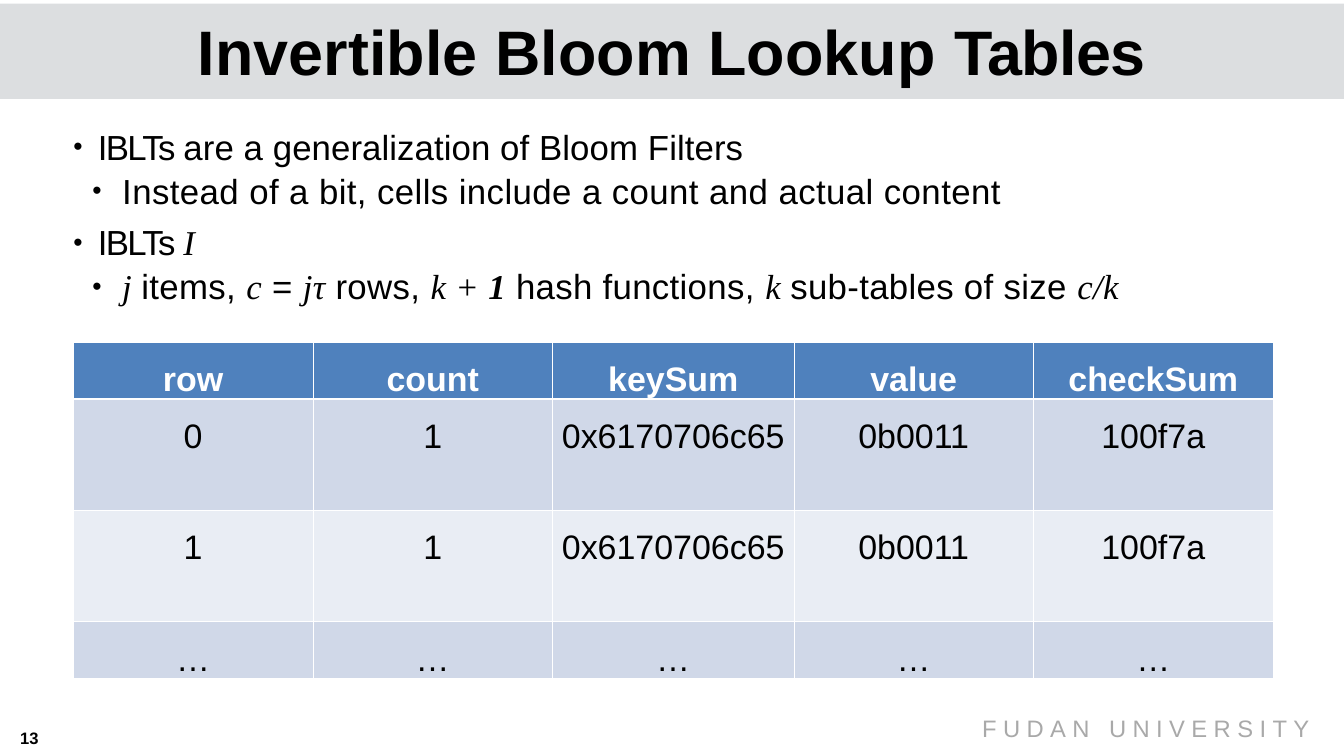
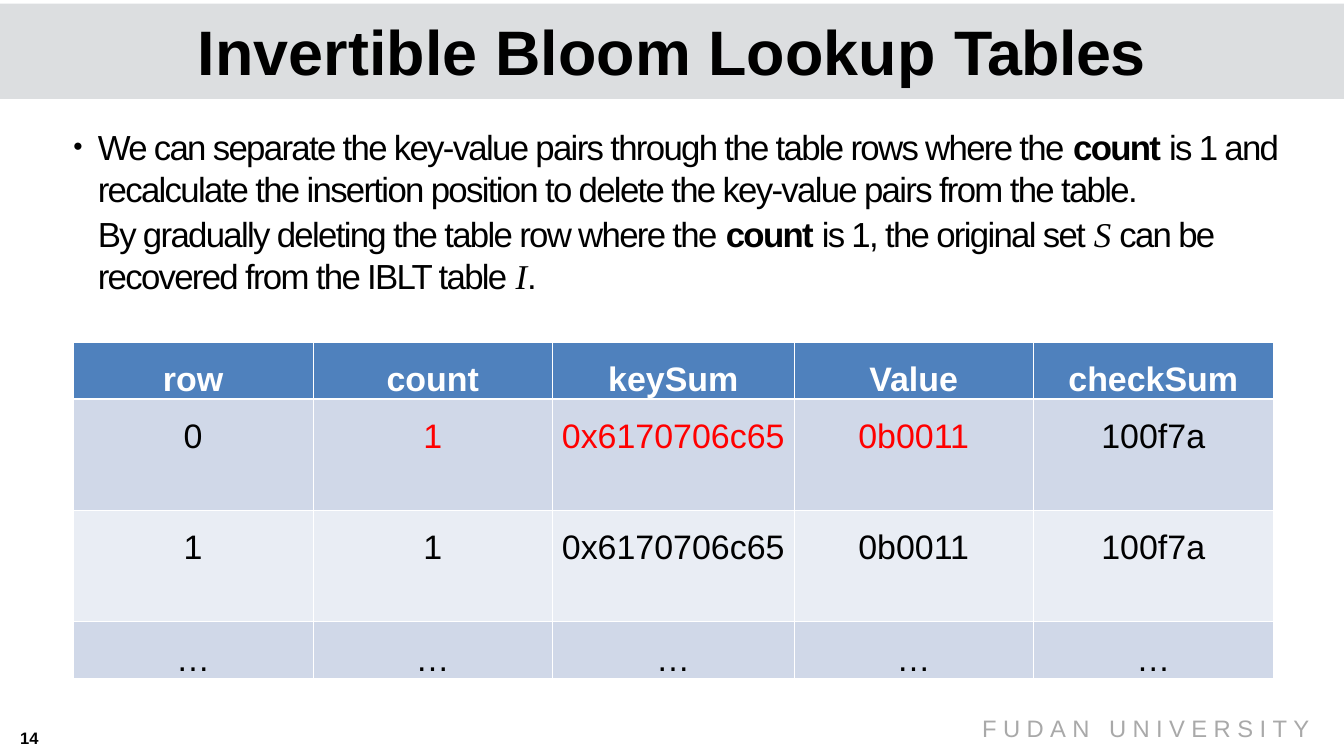
from lxml import etree
from pptx import Presentation
from pptx.dml.color import RGBColor
from pptx.enum.shapes import MSO_SHAPE
from pptx.enum.text import MSO_ANCHOR, MSO_AUTO_SIZE, PP_ALIGN
from pptx.oxml.ns import qn
from pptx.util import Inches, Pt

BLACK = RGBColor(0x00, 0x00, 0x00)
WHITE = RGBColor(0xFF, 0xFF, 0xFF)
RED = RGBColor(0xFF, 0x00, 0x00)
BAND_GRAY = RGBColor(0xDC, 0xDE, 0xE0)
FOOTER_GRAY = RGBColor(0xA9, 0xA9, 0xA9)
HEADER_BLUE = RGBColor(0x4F, 0x81, 0xBD)
ROW_FILLS = [RGBColor(0xD0, 0xD8, 0xE8), RGBColor(0xE9, 0xED, 0xF4)]

# Paragraph kind: left margin, first-line indent (inches), bullet, level
LIST_STYLES = {
    "main": (0.4, -0.4, "•", 0),
    "sub": (0.8, -0.49, "•", 1),
    "plain": (0.4, 0, None, 0),
}
COLUMN_WIDTHS = [3.92, 3.92, 3.95, 3.92, 3.92]
ROW_HEIGHTS = [0.89, 1.82, 1.82, 0.89]
ENTRY = ["1", "0x6170706c65", "0b0011", "100f7a"]
BODY_ROWS = [["0", *ENTRY], ["1", *ENTRY], ["…"] * 5]

# Each paragraph: kind, space before, runs of (text, style, letter spacing);
# style "b" is bold, "m" is math italic, "bm" is both.
SLIDES = [
    {
        "number": "13",
        "paragraphs": [
            ("main", 0, [("IBLTs ", "", -2),
                         ("are a generalization of Bloom Filters", "", 0.1)]),
            ("sub", 2.7, [("Instead of a bit, cells include a count and actual content",
                           "", 0.5)]),
            ("main", 11, [("IBLTs ", "", -2), ("I", "m", -2)]),
            ("sub", 2.7, [
                ("j ", "m", 0.4), ("items, ", "", 0.4), ("c", "m", 0.4),
                (" = ", "", 0.4), ("jτ", "m", 0.4), (" rows, ", "", 0.4),
                ("k + ", "m", 0.4), ("1", "bm", 0.4),
                (" hash functions, ", "", 0.4), ("k ", "m", 0.4),
                ("sub-tables of size ", "", 0.4), ("c/k", "m", 0.4)]),
        ],
        "header": ["row", "count", "keySum", "value", "checkSum"],
        "red_cells": set(),
    },
    {
        "number": "14",
        "paragraphs": [
            ("main", 0, [
                ("We can separate the key-value pairs through the table rows where the ",
                 "", -2),
                ("count", "b", -2),
                (" is 1 and recalculate the insertion position to delete the "
                 "key-value pairs from the table.", "", -2)]),
            ("plain", 3.7, [
                ("By gradually deleting the table row where the ", "", -2),
                ("count", "b", -2), (" is 1, the original set ", "", -2),
                ("S", "m", -2), (" can be recovered from the IBLT table ", "", -2),
                ("I", "m", -2), (".", "", -2)]),
        ],
        "header": ["row", "count", "keySum", "Value", "checkSum"],
        "red_cells": {(1, 1), (1, 2), (1, 3)},
    },
]


def add_run(paragraph, text, size, color=BLACK, style="", spacing=0):
    run = paragraph.add_run()
    run.text = text
    run.font.name = "Times New Roman" if "m" in style else "Arial"
    run.font.size = Pt(size)
    run.font.bold = "b" in style
    run.font.italic = "m" in style
    run.font.color.rgb = color
    if spacing:
        run.font._element.set("spc", str(round(spacing * 100)))


def place_text(shape, left, top, width, height):
    """Position a text shape, clear its insets and return its text frame."""
    shape.left, shape.top = Inches(left), Inches(top)
    shape.width, shape.height = Inches(width), Inches(height)
    frame = shape.text_frame
    frame.margin_left = frame.margin_right = 0
    frame.margin_top = frame.margin_bottom = 0
    frame.word_wrap = True
    frame.auto_size = MSO_AUTO_SIZE.NONE
    frame.vertical_anchor = MSO_ANCHOR.TOP
    return frame


presentation = Presentation()
presentation.slide_width = Inches(21.99)
presentation.slide_height = Inches(12.37)
layout = presentation.slide_layouts[1]

for content in SLIDES:
    slide = presentation.slides.add_slide(layout)

    # Title band, behind the title
    band = slide.shapes.add_shape(MSO_SHAPE.RECTANGLE, 0, Inches(0.06),
                                  presentation.slide_width, Inches(1.56))
    band.shadow.inherit = False
    band.fill.solid()
    band.fill.fore_color.rgb = BAND_GRAY
    band.line.fill.background()
    slide.shapes._spTree.insert(2, band._element)

    title = place_text(slide.shapes.title, 3.2, 0.2, 15.58, 1.23).paragraphs[0]
    title.alignment = PP_ALIGN.CENTER
    add_run(title, "Invertible Bloom Lookup ", 74, style="b", spacing=0.1)
    add_run(title, "Tables", 74, style="b", spacing=-0.8)

    # Body list
    body = place_text(slide.placeholders[1], 1.2, 2.06, 19.89, 2.87)
    for index, (kind, space_before, runs) in enumerate(content["paragraphs"]):
        paragraph = body.add_paragraph() if index else body.paragraphs[0]
        margin, indent, bullet, level = LIST_STYLES[kind]
        paragraph.level = level
        properties = paragraph._p.get_or_add_pPr()
        properties.set("marL", str(Inches(margin)))
        properties.set("indent", str(Inches(indent)))
        if bullet:
            etree.SubElement(properties, qn("a:buSzPct")).set("val", "76000")
            etree.SubElement(properties, qn("a:buFont")).set("typeface", "Arial")
            etree.SubElement(properties, qn("a:buChar")).set("char", bullet)
        else:
            etree.SubElement(properties, qn("a:buNone"))
        paragraph.space_before = Pt(space_before)
        for text, style, spacing in runs:
            add_run(paragraph, text, 41, style=style, spacing=spacing)

    # Lookup table
    rows = [content["header"], *BODY_ROWS]
    table = slide.shapes.add_table(
        len(rows), len(COLUMN_WIDTHS), Inches(1.2), Inches(5.6),
        Inches(sum(COLUMN_WIDTHS)), Inches(sum(ROW_HEIGHTS))).table
    for column, width in zip(table.columns, COLUMN_WIDTHS):
        column.width = Inches(width)
    for row_index, texts in enumerate(rows):
        table.rows[row_index].height = Inches(ROW_HEIGHTS[row_index])
        is_header = row_index == 0
        for column_index, text in enumerate(texts):
            cell = table.cell(row_index, column_index)
            cell.margin_left = cell.margin_right = Inches(0.07)
            cell.margin_top = cell.margin_bottom = 0
            thick_side = {0: "lnB", 1: "lnT"}.get(row_index)
            for side in ("lnL", "lnR", "lnT", "lnB"):
                border = etree.SubElement(cell._tc.get_or_add_tcPr(), qn(f"a:{side}"))
                border.set("w", str(Pt(3 if side == thick_side else 1)))
                border_fill = etree.SubElement(border, qn("a:solidFill"))
                etree.SubElement(border_fill, qn("a:srgbClr")).set("val", str(WHITE))
            cell.fill.solid()
            cell.fill.fore_color.rgb = (
                HEADER_BLUE if is_header else ROW_FILLS[(row_index - 1) % 2])
            paragraph = cell.text_frame.paragraphs[0]
            paragraph.alignment = PP_ALIGN.CENTER
            paragraph.line_spacing = 1.5
            if is_header:
                color = WHITE
            else:
                color = RED if (row_index, column_index) in content["red_cells"] else BLACK
            add_run(paragraph, text, 40, color, "b" if is_header else "")

    # Page number and university name
    number_box = slide.shapes.add_textbox(0, 0, 0, 0)
    number = place_text(number_box, 0.33, 11.96, 0.39, 0.3).paragraphs[0]
    number.line_spacing = Pt(20.1)
    add_run(number, content["number"], 19.5, style="b", spacing=0.1)

    university_box = slide.shapes.add_textbox(0, 0, 0, 0)
    university = place_text(university_box, 16.07, 11.83, 5.9, 0.33).paragraphs[0]
    university.line_spacing = Pt(22.8)
    add_run(university, "FUDAN UNIVERSITY", 28, FOOTER_GRAY, spacing=7.6)

presentation.save("out.pptx")
